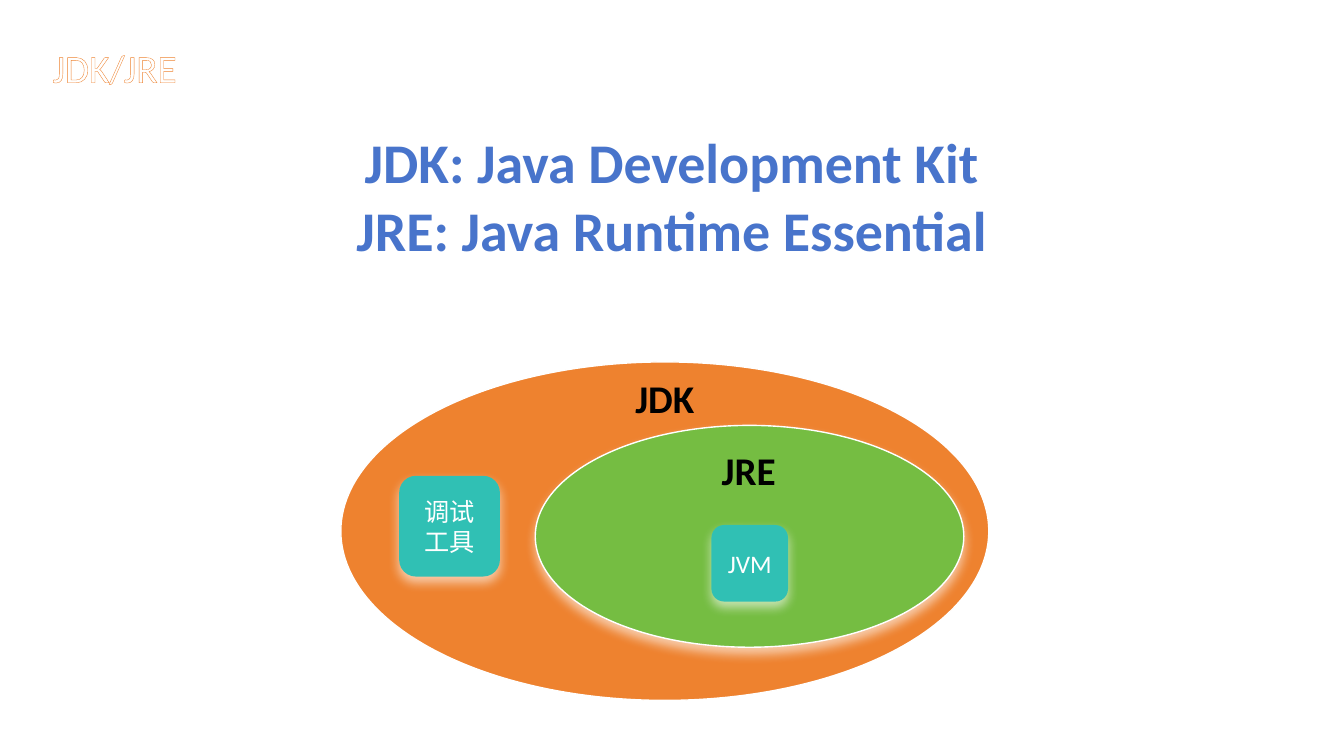
from lxml import etree
from pptx import Presentation
from pptx.dml.color import RGBColor
from pptx.enum import shapes, text
from pptx.oxml import parse_xml
from pptx.oxml.ns import nsdecls
from pptx.util import Cm, Pt

WHITE = RGBColor(0xFF, 0xFF, 0xFF)
BLACK = RGBColor(0, 0, 0)
BLUE = RGBColor(0x48, 0x74, 0xCB)
ORANGE = RGBColor(0xEE, 0x82, 0x2F)
GREEN = RGBColor(0x75, 0xBD, 0x42)
TEAL = RGBColor(0x30, 0xC0, 0xB4)


def write_lines(frame, lines, size, color, bold=False, align=text.PP_ALIGN.CENTER):
    """Fill a text frame with one paragraph per line and return the last run."""
    for index, line in enumerate(lines):
        paragraph = frame.add_paragraph() if index else frame.paragraphs[0]
        paragraph.alignment = align
        run = paragraph.add_run()
        run.text = line
        run.font.name = "Calibri"
        run.font.size = Pt(size)
        run.font.bold = bold
        run.font.color.rgb = color
    return run


def add_component(kind, box, fill, outlined):
    """Add a filled shape with a soft light shadow below it."""
    component = slide.shapes.add_shape(kind, *map(Cm, box))
    component.fill.solid()
    component.fill.fore_color.rgb = fill
    if outlined:
        component.line.color.rgb = WHITE
        component.line.width = Pt(1)
    else:
        component.line.fill.background()
    component.shadow.inherit = False
    effects = component._element.spPr.find(
        "{http://schemas.openxmlformats.org/drawingml/2006/main}effectLst")
    effects.append(parse_xml(
        f'<a:outerShdw {nsdecls("a")} blurRad="{Pt(8)}" dist="{Pt(4)}" dir="5400000" '
        f'algn="t" rotWithShape="0"><a:srgbClr val="{WHITE}">'
        '<a:alpha val="60000"/></a:srgbClr></a:outerShdw>'))
    return component


prs = Presentation()
prs.slide_width, prs.slide_height = Cm(33.87), Cm(19.05)
slide = prs.slides.add_slide(prs.slide_layouts[5])

# Outlined heading
heading = slide.shapes.title
heading.left, heading.top, heading.width, heading.height = map(Cm, (1.07, 0.97, 10.77, 1.45))
heading.text_frame.auto_size = text.MSO_AUTO_SIZE.NONE
heading.text_frame.vertical_anchor = text.MSO_ANCHOR.TOP
heading_run = write_lines(heading.text_frame, ["JDK/JRE"], 28, WHITE,
                          align=text.PP_ALIGN.LEFT)
outline = parse_xml(f'<a:ln {nsdecls("a")} w="{Pt(0.52)}"/>')
outline_fill = etree.SubElement(outline, outline.tag.replace("}ln", "}solidFill"))
etree.SubElement(outline_fill, outline.tag.replace("}ln", "}srgbClr"), val=str(ORANGE))
heading_run.font._element.insert(0, outline)

# Nested environments
for box, fill in [((8.59, 9.12, 16.33, 8.53), ORANGE),
                  ((13.49, 10.72, 10.8, 5.59), GREEN)]:
    add_component(shapes.MSO_SHAPE.OVAL, box, fill, outlined=True)

# Definitions and environment names
for lines, box, size, color in [
    (["JDK: Java Development Kit", "JRE: Java Runtime Essential"],
     (8.71, 3.1, 16.43, 3.68), 40, BLUE),
    (["JDK"], (15.75, 9.32, 2.01, 1.45), 28, BLACK),
    (["JRE"], (17.93, 11.13, 1.88, 1.45), 28, BLACK),
]:
    label = slide.shapes.add_textbox(*map(Cm, box))
    label.text_frame.word_wrap = False
    label.text_frame.auto_size = text.MSO_AUTO_SIZE.SHAPE_TO_FIT_TEXT
    write_lines(label.text_frame, lines, size, color, bold=True)

# Parts inside the environments
for name, left, top, side in [("JVM", 17.93, 13.23, 1.93), ("调试工具", 10.06, 11.99, 2.54)]:
    part = add_component(shapes.MSO_SHAPE.ROUNDED_RECTANGLE, (left, top, side, side),
                         TEAL, outlined=False)
    part.text_frame.word_wrap = True
    part.text_frame.vertical_anchor = text.MSO_ANCHOR.MIDDLE
    write_lines(part.text_frame, [name], 18, WHITE)

prs.save("out.pptx")
